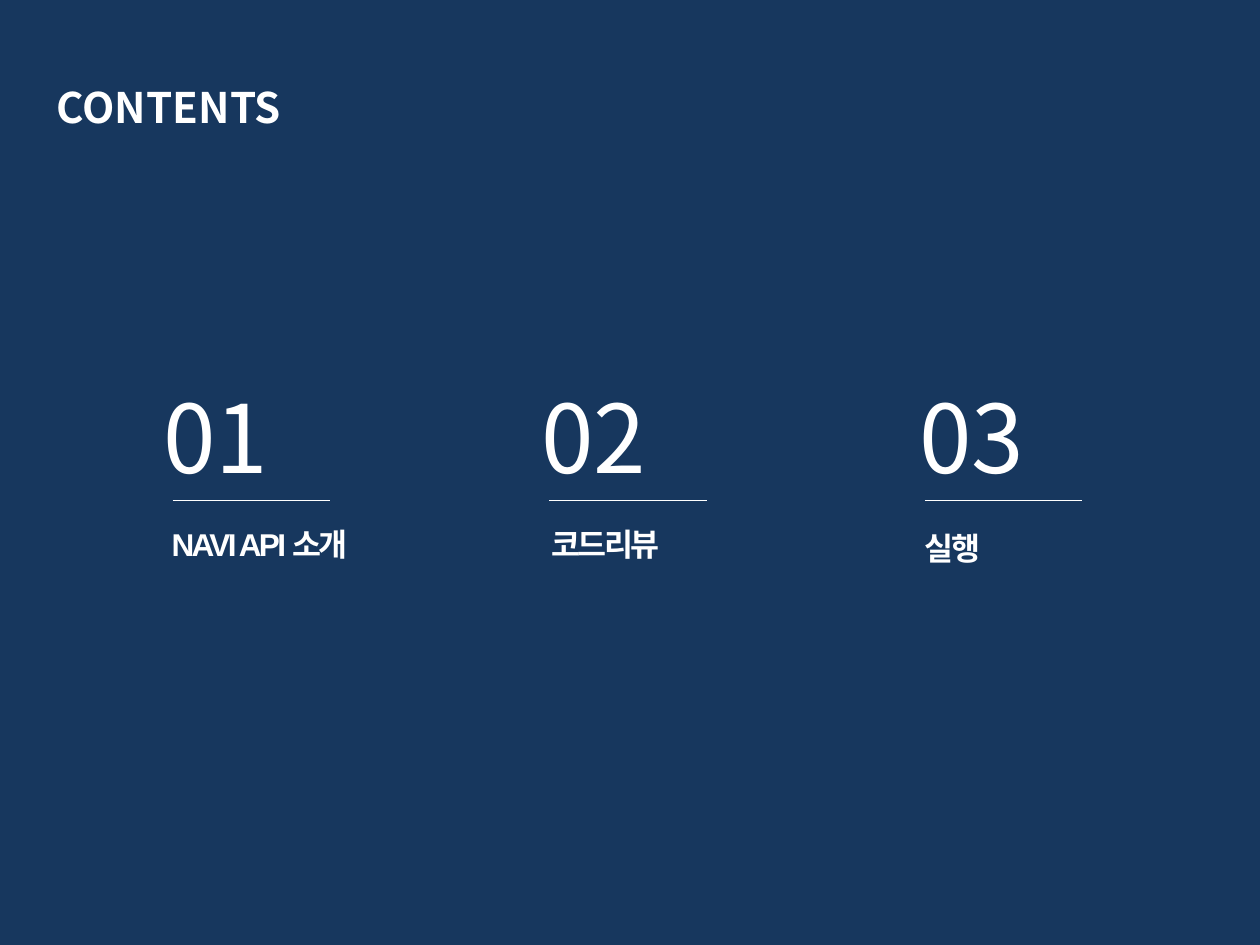
from pptx import Presentation
from pptx.dml.color import RGBColor
from pptx.enum.shapes import MSO_CONNECTOR
from pptx.enum.text import MSO_ANCHOR, MSO_AUTO_SIZE, PP_ALIGN
from pptx.oxml.ns import qn
from pptx.util import Inches, Pt
from lxml import etree

NAVY = RGBColor(0x17, 0x37, 0x5E)
WHITE = RGBColor(0xFF, 0xFF, 0xFF)
KOREAN_FONT = "Noto Sans CJK KR"
LATIN_FONT = "Arial"
STRAIGHT = MSO_CONNECTOR.STRAIGHT
LEFT, CENTER = PP_ALIGN.LEFT, PP_ALIGN.CENTER
TOP, MIDDLE = MSO_ANCHOR.TOP, MSO_ANCHOR.MIDDLE
NO_AUTOFIT = MSO_AUTO_SIZE.NONE

NUMBER_LEFT, NUMBER_STEP = 1.2, 3
RULE_Y, RULE_WIDTH = 3.97, 1.25
SECTIONS = [
    ("NAVI API 소개", 1.37, (1.2, 4.12, 1.72, 0.4)),
    ("코드리뷰", 4.36, (4.1, 4.12, 1.41, 0.4)),
    ("실행", 7.34, (6.82, 4.15, 1.48, 0.4)),
]


def write_text(box, text, size, font, bold=False, align=LEFT, anchor=TOP, spacing=None):
    frame = box.text_frame
    frame.word_wrap = True
    frame.auto_size = NO_AUTOFIT
    frame.vertical_anchor = anchor
    para = frame.paragraphs[0]
    para.alignment = align
    span = para.add_run()
    span.text = text
    span.font.size = Pt(size)
    span.font.name = font
    span.font.bold = bold
    span.font.color.rgb = WHITE
    properties = span._r.get_or_add_rPr()
    etree.SubElement(properties, qn("a:ea")).set("typeface", KOREAN_FONT)
    if spacing is not None:
        properties.set("spc", str(round(spacing * 100)))


def add_title(page, text):
    title = page.shapes.title
    title.left, title.top = Inches(0.35), Inches(0.6)
    title.width, title.height = Inches(4.57), Inches(0.5)
    write_text(title, text, 24, KOREAN_FONT, bold=True, anchor=MIDDLE)


def add_number(page, index):
    left = NUMBER_LEFT + index * NUMBER_STEP
    box = page.shapes.add_textbox(Inches(left), Inches(2.96), Inches(1.5), Inches(1.01))
    write_text(box, f"{index + 1:02d}", 54, KOREAN_FONT)


def add_rule(page, left):
    rule = page.shapes.add_connector(
        STRAIGHT, Inches(left), Inches(RULE_Y), Inches(left + RULE_WIDTH), Inches(RULE_Y)
    )
    rule.line.color.rgb = WHITE
    rule.line.width = Pt(0.75)
    etree.SubElement(rule._element.spPr, qn("a:effectLst"))


def add_label(page, text, bounds):
    box = page.shapes.add_textbox(*map(Inches, bounds))
    write_text(box, text, 18, LATIN_FONT, bold=True, align=CENTER, spacing=-1.5)


def main():
    deck = Presentation()
    deck.slide_width, deck.slide_height = Inches(10), Inches(7.5)
    page = deck.slides.add_slide(deck.slide_layouts[5])
    page.background.fill.solid()
    page.background.fill.fore_color.rgb = NAVY

    add_title(page, "CONTENTS")
    for index, (label, rule_left, label_bounds) in enumerate(SECTIONS):
        add_number(page, index)
        add_rule(page, rule_left)
        add_label(page, label, label_bounds)

    deck.save("out.pptx")


if __name__ == "__main__":
    main()
